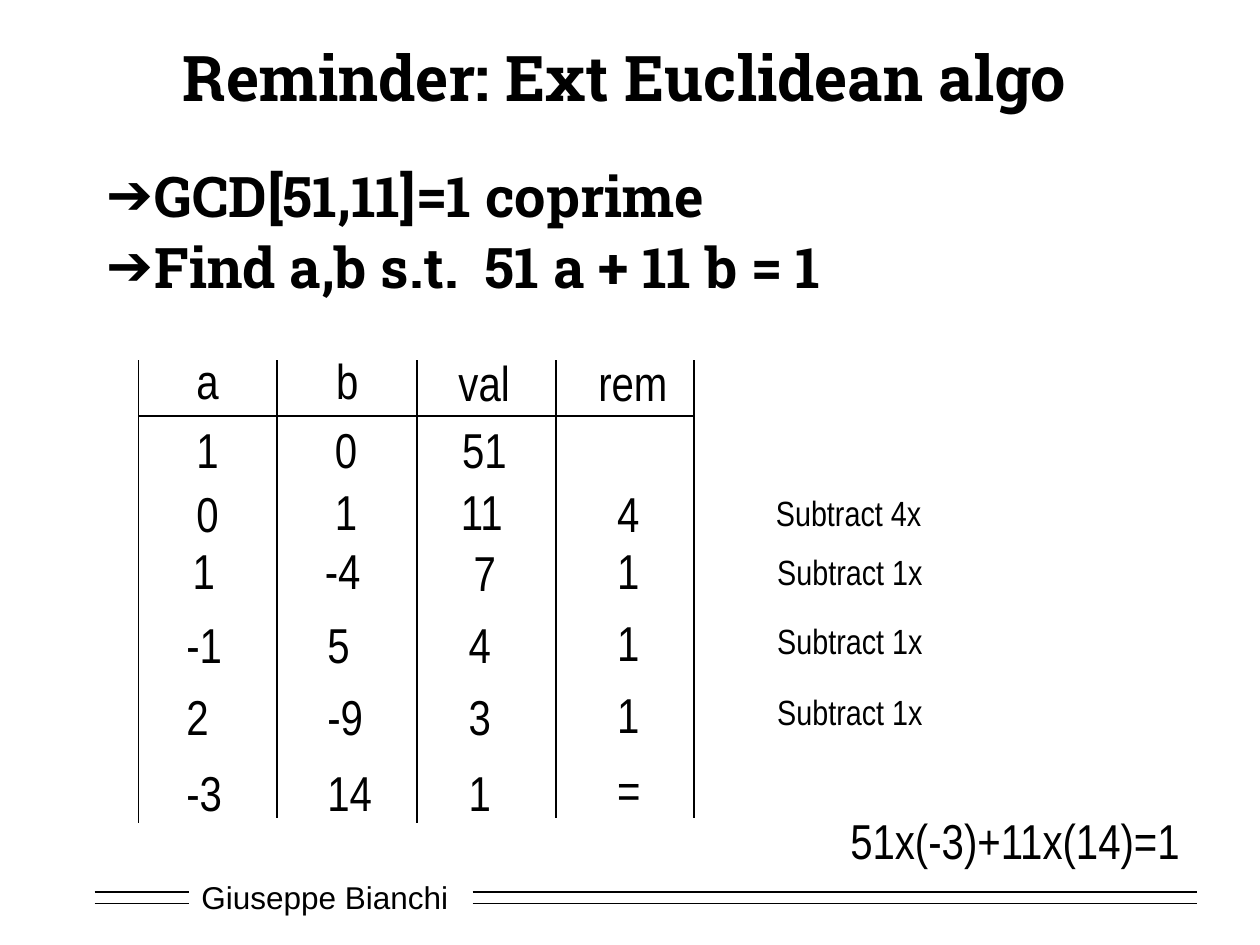
from dataclasses import dataclass

from pptx import Presentation
from pptx.dml.color import RGBColor
from pptx.enum.shapes import MSO_CONNECTOR as Connector, MSO_SHAPE as Preset
from pptx.enum.text import MSO_ANCHOR as Anchor, MSO_AUTO_SIZE as AutoSize, PP_ALIGN as Align
from pptx.oxml.ns import qn
from pptx.slide import Slide
from pptx.text.text import TextFrame
from pptx.util import Pt
from lxml.etree import SubElement

PX = 9144
BLACK = RGBColor(0x00, 0x00, 0x00)
WHITE = RGBColor(0xFF, 0xFF, 0xFF)
HEADING_FONT = "Roboto Slab"
TABLE_FONT = "Arial Narrow"
FOOTER_FONT = "Arial"


@dataclass(frozen=True)
class Label:
    text: str
    left: int
    top: int
    width: int = 38
    height: int = 57
    size: int = 28


@dataclass(frozen=True)
class Rule:
    x1: int
    y1: int
    x2: int
    y2: int


FOOTER_RULES = [
    Rule(x1, y, x2, y) for y in (708, 717) for x1, x2 in ((75, 150), (375, 950))
]
COLUMN_RULES = [Rule(x, 286, x, 649) for x in (110, 220, 331, 441, 551)]
OUTER_RULES = [Rule(x, 290, x, 653) for x in (110, 331)]
HEADER_RULE = Rule(551, 330, 110, 330)

HEADERS = [
    Label("a", 146, 273),
    Label("b", 257, 273),
    Label("val", 354, 275, 61),
    Label("rem", 465, 275, 76),
]
STEPS = [
    Label("1", 146, 328), Label("0", 256, 328), Label("51", 357, 328, 56),
    Label("0", 146, 379), Label("1", 256, 377), Label("11", 356, 377, 53), Label("4", 480, 379),
    Label("1", 143, 424), Label("-4", 248, 424, 49), Label("7", 366, 426), Label("1", 480, 424),
    Label("-1", 138, 483, 49), Label("5", 250, 483), Label("4", 362, 483), Label("1", 480, 481),
    Label("2", 138, 540), Label("-9", 250, 540, 49), Label("3", 362, 540), Label("1", 480, 538),
    Label("-3", 138, 600, 49), Label("14", 250, 600, 56), Label("1", 362, 600),
    Label("=", 480, 598, 39),
]
NOTES = [
    Label(text, left, top, 137, 44, 20)
    for text, left, top in (
        ("Subtract 4x", 606, 385),
        ("Subtract 1x", 607, 432),
        ("Subtract 1x", 607, 487),
        ("Subtract 1x", 607, 543),
    )
]
RESULT = Label("51x(-3)+11x(14)=1", 665, 638, 284)


def style_runs(frame: TextFrame, font: str, size: int, bold: bool = False) -> None:
    for paragraph in frame.paragraphs:
        for run in paragraph.runs:
            run.font.name = font
            run.font.size = Pt(size)
            run.font.bold = bold
            run.font.color.rgb = BLACK


def add_frame(slide: Slide, left: int, top: int, width: int, height: int) -> TextFrame:
    return slide.shapes.add_textbox(left * PX, top * PX, width * PX, height * PX).text_frame


def draw_label(slide: Slide, label: Label) -> None:
    frame = add_frame(slide, label.left, label.top, label.width, label.height)
    frame.text = label.text
    frame.word_wrap = False
    frame.auto_size = AutoSize.SHAPE_TO_FIT_TEXT
    style_runs(frame, TABLE_FONT, label.size)


def draw_rule(slide: Slide, rule: Rule) -> None:
    line = slide.shapes.add_connector(
        Connector.STRAIGHT, rule.x1 * PX, rule.y1 * PX, rule.x2 * PX, rule.y2 * PX
    )
    line.line.color.rgb = BLACK
    line.line.width = Pt(1)
    SubElement(line._element.spPr, qn("a:effectLst"))


def draw_footer(slide: Slide) -> None:
    author = slide.shapes.add_shape(Preset.RECTANGLE, 150 * PX, 692 * PX, 217 * PX, 40 * PX)
    author.shadow.inherit = False
    author.fill.solid()
    author.fill.fore_color.rgb = WHITE
    author.line.fill.background()
    frame = author.text_frame
    frame.text = "Giuseppe Bianchi"
    frame.word_wrap = True
    frame.vertical_anchor = Anchor.MIDDLE
    frame.paragraphs[0].alignment = Align.LEFT
    style_runs(frame, FOOTER_FONT, 18)
    for rule in FOOTER_RULES:
        draw_rule(slide, rule)


def draw_title(slide: Slide) -> None:
    title = add_frame(slide, 75, 25, 842, 71)
    title.text = "Reminder: Ext Euclidean algo"
    title.word_wrap = True
    title.vertical_anchor = Anchor.MIDDLE
    title.paragraphs[0].alignment = Align.CENTER
    style_runs(title, HEADING_FONT, 36, bold=True)


def draw_goals(slide: Slide) -> None:
    goals = add_frame(slide, 75, 123, 842, 157)
    goals.word_wrap = True
    goals.text = "GCD[51,11]=1 coprime\nFind a,b s.t. \t51 a + 11 b = 1"
    for index, paragraph in enumerate(goals.paragraphs):
        if index:
            paragraph.space_before = Pt(2.4)
        properties = paragraph._p.get_or_add_pPr()
        properties.set("marL", str(38 * PX))
        properties.set("indent", str(-38 * PX))
        SubElement(properties, qn("a:buFont")).set("typeface", FOOTER_FONT)
        SubElement(properties, qn("a:buChar")).set("char", "➔")
    style_runs(goals, HEADING_FONT, 32, bold=True)


def main() -> None:
    deck = Presentation()
    deck.slide_width = 1000 * PX
    deck.slide_height = 750 * PX
    slide = deck.slides.add_slide(deck.slide_layouts[6])
    draw_footer(slide)
    draw_title(slide)
    draw_goals(slide)
    for rule in [*COLUMN_RULES, *OUTER_RULES, HEADER_RULE]:
        draw_rule(slide, rule)
    for label in [*HEADERS, *STEPS, *NOTES, RESULT]:
        draw_label(slide, label)
    deck.save("out.pptx")


if __name__ == "__main__":
    main()
